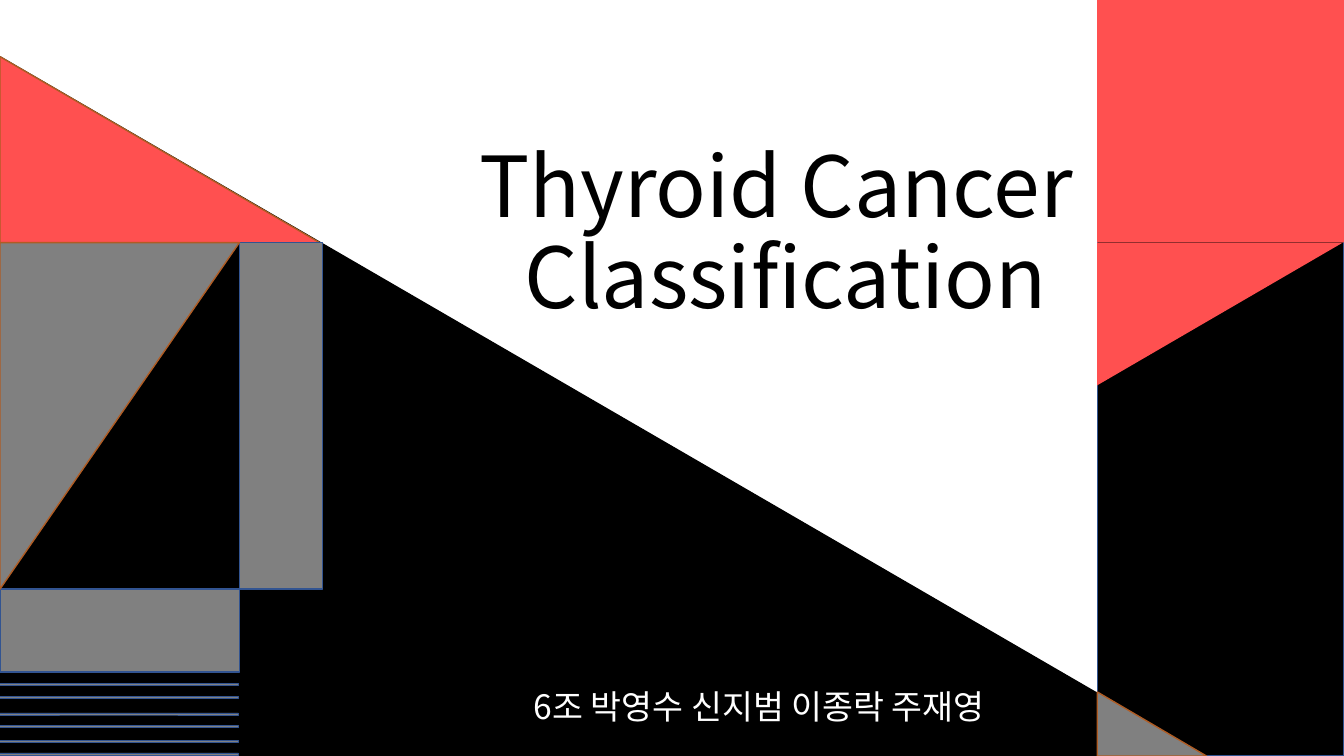
from lxml import etree
from pptx import Presentation
from pptx import util as u
from pptx.dml.color import RGBColor
from pptx.enum import shapes, text
from pptx.oxml.ns import qn

PX = 9525  # EMU per px, 96 px to the inch
FONT = "Noto Sans CJK KR"
BLACK, WHITE, RED, GRAY = "000000", "FFFFFF", "FF5050", "808080"
BLUE_LINE, BROWN_LINE = "325491", "AF5C24"
RECTANGLE = shapes.MSO_SHAPE.RECTANGLE
TRIANGLE = shapes.MSO_SHAPE.ISOSCELES_TRIANGLE

presentation = Presentation()
presentation.slide_width = 1280 * PX
presentation.slide_height = 720 * PX
slide = presentation.slides.add_slide(presentation.slide_layouts[6])


def add_block(kind, box, fill, line=None, weight=1, rotation=0):
    """Add a filled rectangle, or a triangle with its apex at the left."""
    shape = slide.shapes.add_shape(kind, *[side * PX for side in box])
    shape.shadow.inherit = False
    shape.rotation = rotation
    if kind == TRIANGLE:
        shape.adjustments[0] = 0
    shape.fill.solid()
    shape.fill.fore_color.rgb = RGBColor.from_string(fill)
    if line:
        shape.line.color.rgb = RGBColor.from_string(line)
        shape.line.width = u.Pt(weight)
    else:
        shape.line.fill.background()


def add_text(content, box, size, color, anchor=text.MSO_ANCHOR.TOP, space_before=0):
    frame = slide.shapes.add_textbox(*[side * PX for side in box]).text_frame
    frame.word_wrap = True
    frame.vertical_anchor = anchor
    paragraph = frame.paragraphs[0]
    paragraph.text = content
    paragraph.alignment = text.PP_ALIGN.CENTER
    paragraph.line_spacing = 0.9
    paragraph.space_before = u.Pt(space_before)
    for run in paragraph.runs:
        run.font.size = u.Pt(size)
        run.font.name = FONT
        run.font.color.rgb = RGBColor.from_string(color)
        etree.SubElement(run.font._element, qn("a:ea"), typeface=FONT)


# Large diagonal and the right-hand column
add_block(TRIANGLE, (0, 54, 1148, 666), BLACK, BLACK)
add_block(TRIANGLE, (0, 54, 306, 178), RED, BROWN_LINE)
add_block(RECTANGLE, (1045, 0, 235, 720), BLACK, BLUE_LINE)
add_block(TRIANGLE, (1045, 659, 104, 61), GRAY, BROWN_LINE)

# Gray blocks and stripes at the lower left
add_block(RECTANGLE, (228, 231, 79, 330), GRAY, BLUE_LINE)
add_block(RECTANGLE, (0, 561, 228, 79), GRAY, BLUE_LINE)
for stripe_top in (651, 663, 679, 691, 705, 717):
    add_block(RECTANGLE, (-1, stripe_top, 228, 2), GRAY, BLUE_LINE, weight=0.5)
add_block(TRIANGLE, (-51, 282, 330, 228), GRAY, BROWN_LINE, rotation=90)

# Red banner at the upper right
add_block(RECTANGLE, (1045, 0, 235, 231), RED)
add_block(TRIANGLE, (1094, 182, 136, 234), RED, rotation=90)

add_text("Thyroid Cancer \vClassification", (268, 65, 960, 251), 60, BLACK,
         anchor=text.MSO_ANCHOR.BOTTOM)
add_text("6조 박영수 신지범 이종락 주재영", (425, 653, 596, 57), 24, WHITE, space_before=10)

presentation.save("out.pptx")
